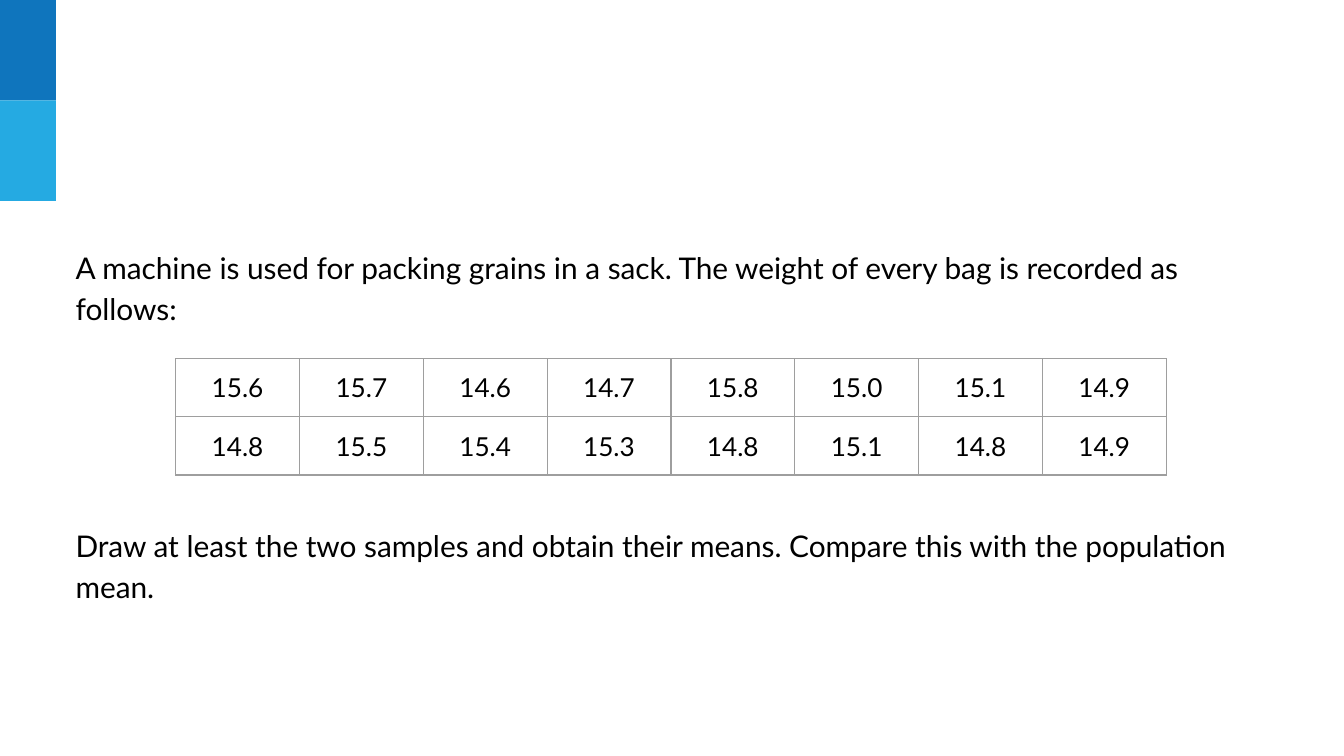
from lxml import etree
from pptx import Presentation
from pptx.dml.color import RGBColor
from pptx.enum import shapes, text
from pptx.oxml import ns
from pptx.util import Cm, Pt

FONT = "Lato"
BLACK = "000000"
GREY = "9E9E9E"
INSET = Cm(0.25)
WEIGHTS = [
    ["15.6", "15.7", "14.6", "14.7", "15.8", "15.0", "15.1", "14.9"],
    ["14.8", "15.5", "15.4", "15.3", "14.8", "15.1", "14.8", "14.9"],
]


def color(value):
    return RGBColor.from_string(value)


def write_text(frame, content, size=16, align=text.PP_ALIGN.LEFT,
               line_spacing=1.0, space_after=0):
    frame.word_wrap = True
    paragraph = frame.paragraphs[0]
    paragraph.alignment = align
    paragraph.line_spacing = line_spacing
    paragraph.space_after = Pt(space_after)
    run = paragraph.add_run()
    run.text = content
    run.font.name = FONT
    run.font.size = Pt(size)
    run.font.color.rgb = color(BLACK)


def set_insets(target):
    """Apply the common inner margin to a text frame or table cell."""
    target.margin_left = target.margin_right = INSET
    target.margin_top = target.margin_bottom = INSET


def add_block(slide, top, fill):
    block = slide.shapes.add_shape(
        shapes.MSO_SHAPE.RECTANGLE, 0, Cm(top), Cm(1.06), Cm(1.9))
    block.shadow.inherit = False
    block.fill.solid()
    block.fill.fore_color.rgb = color(fill)
    block.line.fill.background()


def add_body_text(slide, top, content):
    box = slide.shapes.add_textbox(Cm(1.18), Cm(top), Cm(23.34), Cm(2.22))
    set_insets(box.text_frame)
    write_text(box.text_frame, content, line_spacing=1.15, space_after=16)


def set_borders(cell, line_color, width):
    properties = cell._tc.get_or_add_tcPr()
    for index, side in enumerate(("a:lnL", "a:lnR", "a:lnT", "a:lnB")):
        line = etree.Element(ns.qn(side), w=str(Pt(width)))
        fill = etree.SubElement(line, ns.qn("a:solidFill"))
        etree.SubElement(fill, ns.qn("a:srgbClr"), val=line_color)
        properties.insert(index, line)


def add_weight_table(slide):
    row_count, column_count = len(WEIGHTS), len(WEIGHTS[0])
    column_width, row_height = Cm(2.34), Cm(1.1)
    table = slide.shapes.add_table(
        row_count, column_count, Cm(3.32), Cm(6.78),
        column_width * column_count, row_height * row_count).table
    table.first_row = table.horz_banding = False
    for column in table.columns:
        column.width = column_width
    for row, weights in zip(table.rows, WEIGHTS):
        row.height = row_height
        for cell, weight in zip(row.cells, weights):
            set_insets(cell)
            cell.vertical_anchor = text.MSO_ANCHOR.MIDDLE
            cell.fill.background()
            set_borders(cell, GREY, 0.75)
            write_text(cell.text_frame, weight, size=14,
                       align=text.PP_ALIGN.CENTER)


def main():
    presentation = Presentation()
    presentation.slide_width = Cm(25.4)
    presentation.slide_height = Cm(14.29)
    slide = presentation.slides.add_slide(presentation.slide_layouts[6])
    add_block(slide, 0, "0F75BD")
    add_block(slide, 1.9, "25AAE2")
    add_body_text(slide, 4.37, "A machine is used for packing grains in a sack. "
                  "The weight of every bag is recorded as follows:")
    add_weight_table(slide)
    add_body_text(slide, 9.63, "Draw at least the two samples and obtain their "
                  "means. Compare this with the population mean.")
    presentation.save("out.pptx")


if __name__ == "__main__":
    main()
